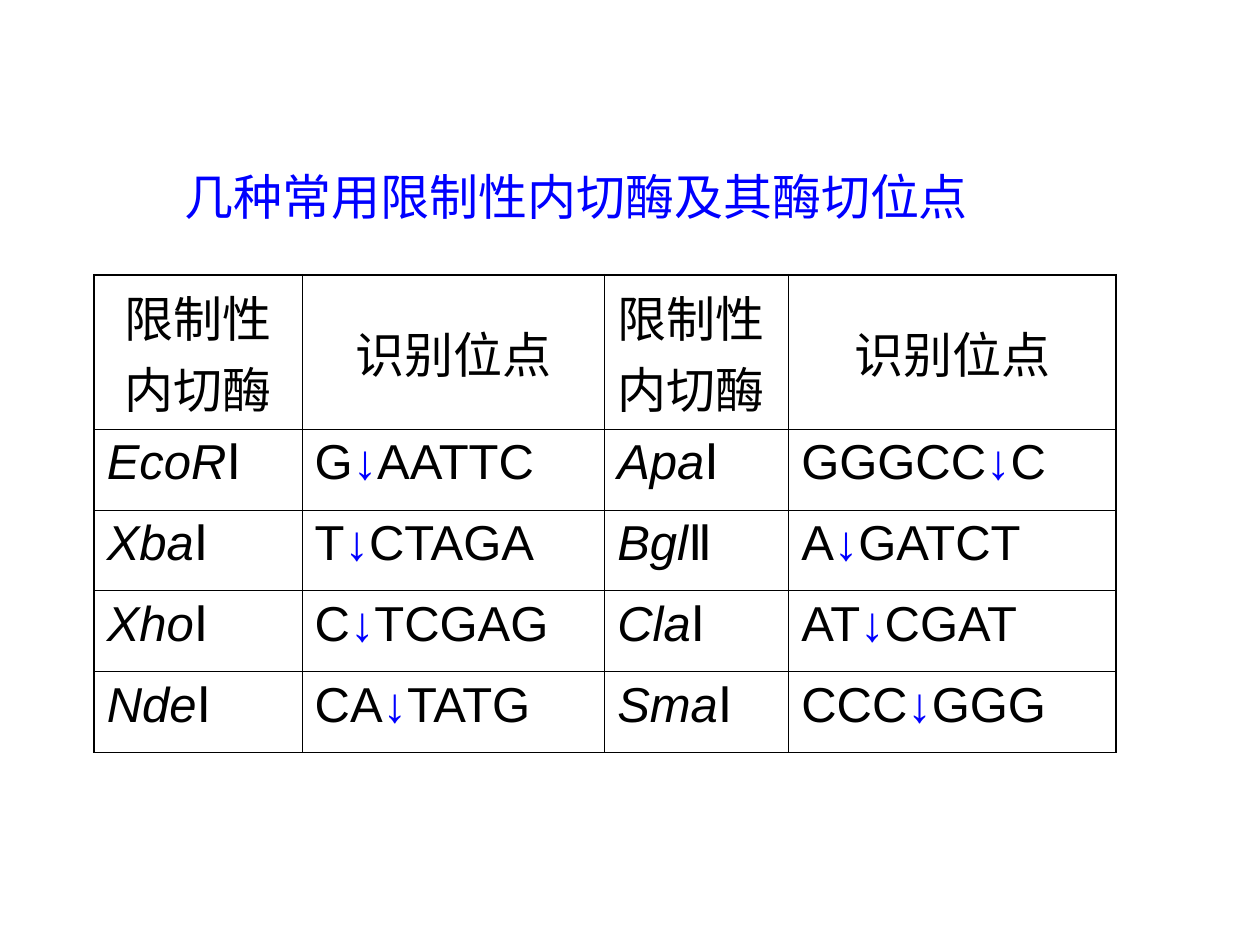
from lxml.etree import SubElement
from pptx import Presentation
from pptx.dml.color import RGBColor
from pptx.enum.text import MSO_ANCHOR, MSO_AUTO_SIZE, PP_ALIGN
from pptx.oxml.ns import qn
from pptx.util import Cm, Pt

BLACK = RGBColor(0x00, 0x00, 0x00)
BLUE = RGBColor(0x00, 0x00, 0xFF)
OUTER, INNER = Pt(1.08), Pt(0.45)


def add_run(paragraph, text, color=BLACK, italic=False):
    run = paragraph.add_run()
    run.text = text
    run.font.name = "Arial"
    run.font.size = Pt(28)
    run.font.italic = italic
    run.font.color.rgb = color


def add_border(cell, side, width):
    line = SubElement(cell._tc.get_or_add_tcPr(), qn(f"a:ln{side}"), w=str(width))
    fill = SubElement(line, qn("a:solidFill"))
    SubElement(fill, qn("a:srgbClr"), val=str(BLACK))


prs = Presentation()
prs.slide_width, prs.slide_height = Cm(25.4), Cm(19.05)
slide = prs.slides.add_slide(prs.slide_layouts[6])

# Table of enzymes: name and numeral, then the site on both sides of the cut
headers = ["限制性内切酶", "识别位点"] * 2
enzyme_rows = [
    [("EcoR", "Ⅰ"), ("G", "AATTC"), ("Apa", "Ⅰ"), ("GGGCC", "C")],
    [("Xba", "Ⅰ"), ("T", "CTAGA"), ("Bgl", "Ⅱ"), ("A", "GATCT")],
    [("Xho", "Ⅰ"), ("C", "TCGAG"), ("Cla", "Ⅰ"), ("AT", "CGAT")],
    [("Nde", "Ⅰ"), ("CA", "TATG"), ("Sma", "Ⅰ"), ("CCC", "GGG")],
]
column_widths = [Cm(4.19), Cm(6.1), Cm(3.71), Cm(6.6)]
row_heights = [Cm(2.64)] + [Cm(1.63)] * len(enzyme_rows)
last_row, last_column = len(row_heights) - 1, len(column_widths) - 1

enzymes = slide.shapes.add_table(
    len(row_heights), len(column_widths), Cm(1.9), Cm(5.54),
    sum(column_widths), sum(row_heights)).table
enzymes.first_row = enzymes.horz_banding = False
for column, width in zip(enzymes.columns, column_widths):
    column.width = width
for row, height in zip(enzymes.rows, row_heights):
    row.height = height

# Header row
for c, header in enumerate(headers):
    cell = enzymes.cell(0, c)
    paragraph = cell.text_frame.paragraphs[0]
    paragraph.alignment = PP_ALIGN.LEFT if c == 2 else PP_ALIGN.CENTER
    if c % 2:
        cell.vertical_anchor = MSO_ANCHOR.MIDDLE
    add_run(paragraph, header)

# Enzymes and their cutting sites
for r, enzyme_row in enumerate(enzyme_rows, start=1):
    for c, (first, second) in enumerate(enzyme_row):
        paragraph = enzymes.cell(r, c).text_frame.paragraphs[0]
        is_site = c % 2 == 1
        add_run(paragraph, first, italic=not is_site)
        if is_site:
            add_run(paragraph, "↓", BLUE)
        add_run(paragraph, second)

# Thick frame, thin inner lines, no fill
for r in range(last_row + 1):
    for c in range(last_column + 1):
        cell = enzymes.cell(r, c)
        on_frame = {"L": c == 0, "R": c == last_column,
                    "T": r == 0, "B": r == last_row}
        for side, is_outer in on_frame.items():
            add_border(cell, side, OUTER if is_outer else INNER)
        cell.fill.background()

# Title
title = slide.shapes.add_textbox(Cm(3.48), Cm(3.23), Cm(16.51), Cm(1.45)).text_frame
title.word_wrap = False
title.auto_size = MSO_AUTO_SIZE.SHAPE_TO_FIT_TEXT
add_run(title.paragraphs[0], "几种常用限制性内切酶及其酶切位点", BLUE)

prs.save("out.pptx")
